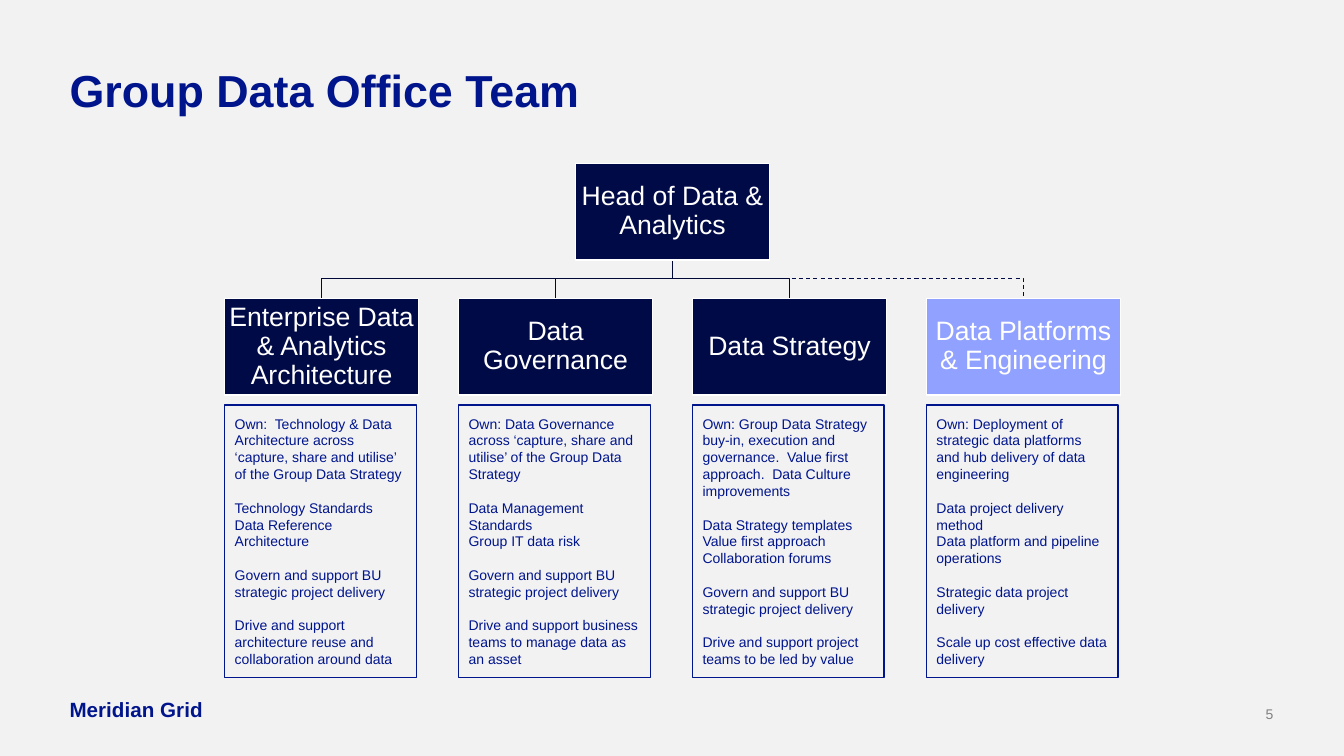
import pptx
import pptx.util
import pptx.dml.color
import pptx.enum.dml
import pptx.enum.shapes
import pptx.enum.text

Inches = pptx.util.Inches
Pt = pptx.util.Pt
ALIGN = pptx.enum.text.PP_ALIGN
ANCHOR = pptx.enum.text.MSO_ANCHOR
RECT = pptx.enum.shapes.MSO_SHAPE.RECTANGLE

BLUE, NAVY, LILAC = "00148C", "000A46", "91A1FF"
WHITE, GREY, PALE = "FFFFFF", "808080", "F2F2F2"

# Each team: name, fill, then blocks of lines
TEAMS = [
    ("Enterprise Data & Analytics Architecture", NAVY, [
        ["Own:  Technology & Data Architecture across ‘capture, share and "
         "utilise’ of the Group Data Strategy"],
        ["Technology Standards", "Data Reference Architecture"],
        ["Govern and support BU strategic project delivery"],
        ["Drive and support architecture reuse and collaboration around data"],
    ]),
    ("Data Governance", NAVY, [
        ["Own: Data Governance across ‘capture, share and utilise’ of the "
         "Group Data Strategy"],
        ["Data Management Standards", "Group IT data risk"],
        ["Govern and support BU strategic project delivery"],
        ["Drive and support business teams to manage data as an asset"],
    ]),
    ("Data Strategy", NAVY, [
        ["Own: Group Data Strategy buy-in, execution and governance.  Value "
         "first approach.  Data Culture improvements"],
        ["Data Strategy templates", "Value first approach",
         "Collaboration forums"],
        ["Govern and support BU strategic project delivery"],
        ["Drive and support project teams to be led by value"],
    ]),
    ("Data Platforms & Engineering", LILAC, [
        ["Own: Deployment of strategic data platforms and hub delivery of "
         "data engineering"],
        ["Data project delivery method",
         "Data platform and pipeline operations"],
        ["Strategic data project delivery"],
        ["Scale up cost effective data delivery"],
    ]),
]


def color(code):
    return pptx.dml.color.RGBColor.from_string(code)


def set_frame(shape, anchor, inset=0):
    frame = shape.text_frame
    frame.word_wrap = True
    frame.auto_size = pptx.enum.text.MSO_AUTO_SIZE.NONE
    frame.vertical_anchor = anchor
    frame.margin_left = frame.margin_right = Inches(inset)
    frame.margin_top = frame.margin_bottom = Inches(inset)
    return frame


def add_run(para, text, size, code, bold=False, align=ALIGN.LEFT):
    para.alignment = align
    run = para.add_run()
    run.text = text
    run.font.name = "Arial"
    run.font.size = Pt(size)
    run.font.bold = bold
    run.font.color.rgb = color(code)


def add_box(slide, box, fill, line, width):
    shape = slide.shapes.add_shape(RECT, *map(Inches, box))
    shape.shadow.inherit = False
    if fill:
        shape.fill.solid()
        shape.fill.fore_color.rgb = color(fill)
    else:
        shape.fill.background()
    shape.line.color.rgb = color(line)
    shape.line.width = Pt(width)
    return shape


def add_title(slide, box, text):
    title = slide.shapes.title
    title.left, title.top, title.width, title.height = map(Inches, box)
    para = set_frame(title, ANCHOR.TOP).paragraphs[0]
    para.line_spacing = 0.9
    add_run(para, text, 32, BLUE, bold=True)


def add_label(slide, box, text, size, code, bold, align):
    label = slide.shapes.add_textbox(*map(Inches, box))
    frame = set_frame(label, ANCHOR.BOTTOM)
    add_run(frame.paragraphs[0], text, size, code, bold, align)


def add_role(slide, box, text, fill):
    shape = add_box(slide, box, fill, WHITE, 0.85)
    para = set_frame(shape, ANCHOR.MIDDLE, 0.01).paragraphs[0]
    para.line_spacing = 0.9
    add_run(para, text, 19, WHITE, align=ALIGN.CENTER)


def add_duties(slide, box, blocks):
    shape = add_box(slide, box, None, BLUE, 1)
    frame = set_frame(shape, ANCHOR.MIDDLE, 0.1)
    frame.margin_top = frame.margin_bottom = Inches(0.05)
    para = frame.paragraphs[0]
    for i, block in enumerate(blocks):
        for j, text in enumerate(block):
            if i or j:
                para = frame.add_paragraph()
            if i and not j:
                para.space_before = Pt(12)
            add_run(para, text, 10, BLUE)


def add_link(slide, start, end, dashed):
    (x1, y1), (x2, y2) = start, end
    bend = y1 + 0.18
    points = [(x1, bend), (x2, bend), (x2, y2)]
    path = slide.shapes.build_freeform(Inches(x1), Inches(y1))
    path.add_line_segments([(Inches(x), Inches(y)) for x, y in points],
                           close=False)
    link = path.convert_to_shape()
    link.shadow.inherit = False
    link.fill.background()
    link.line.color.rgb = color(NAVY if dashed else "000838")
    link.line.width = Pt(0.75 if dashed else 0.85)
    if dashed:
        link.line.dash_style = pptx.enum.dml.MSO_LINE.DASH


def add_chart(slide, box):
    left, top, width, height = box
    wide, high, low = 1.92, 0.96, top + 1.34
    step = (width - wide) / (len(TEAMS) - 1)
    mid = left + width / 2

    # Links lie behind the roles, the dashed one at the back
    for i, (name, fill, blocks) in reversed(list(enumerate(TEAMS))):
        end = (left + i * step + wide / 2, low)
        add_link(slide, (mid, top + high), end, fill == LILAC)

    # Head, then the teams with their duties
    add_role(slide, (mid - wide / 2, top, wide, high),
             "Head of Data & Analytics", NAVY)
    for i, (name, fill, blocks) in enumerate(TEAMS):
        x = left + i * step
        add_role(slide, (x, low, wide, high), name, fill)
        add_duties(slide, (x, top + 2.4, 1.9, height - 2.4), blocks)


def main():
    deck = pptx.Presentation()
    deck.slide_width, deck.slide_height = Inches(13.33), Inches(7.5)
    slide = deck.slides.add_slide(deck.slide_layouts[5])
    slide.background.fill.solid()
    slide.background.fill.fore_color.rgb = color(PALE)

    add_title(slide, (0.69, 0.68, 11.96, 0.48), "Group Data Office Team")
    add_chart(slide, (2.23, 1.62, 8.88, 5.1))

    # Footer
    add_label(slide, (0.69, 6.91, 1.5, 0.25), "Meridian Grid", 14.7, BLUE,
              True, ALIGN.LEFT)
    add_label(slide, (12.21, 7, 0.42, 0.17), "5", 10, GREY, False,
              ALIGN.RIGHT)
    deck.save("out.pptx")


if __name__ == "__main__":
    main()
